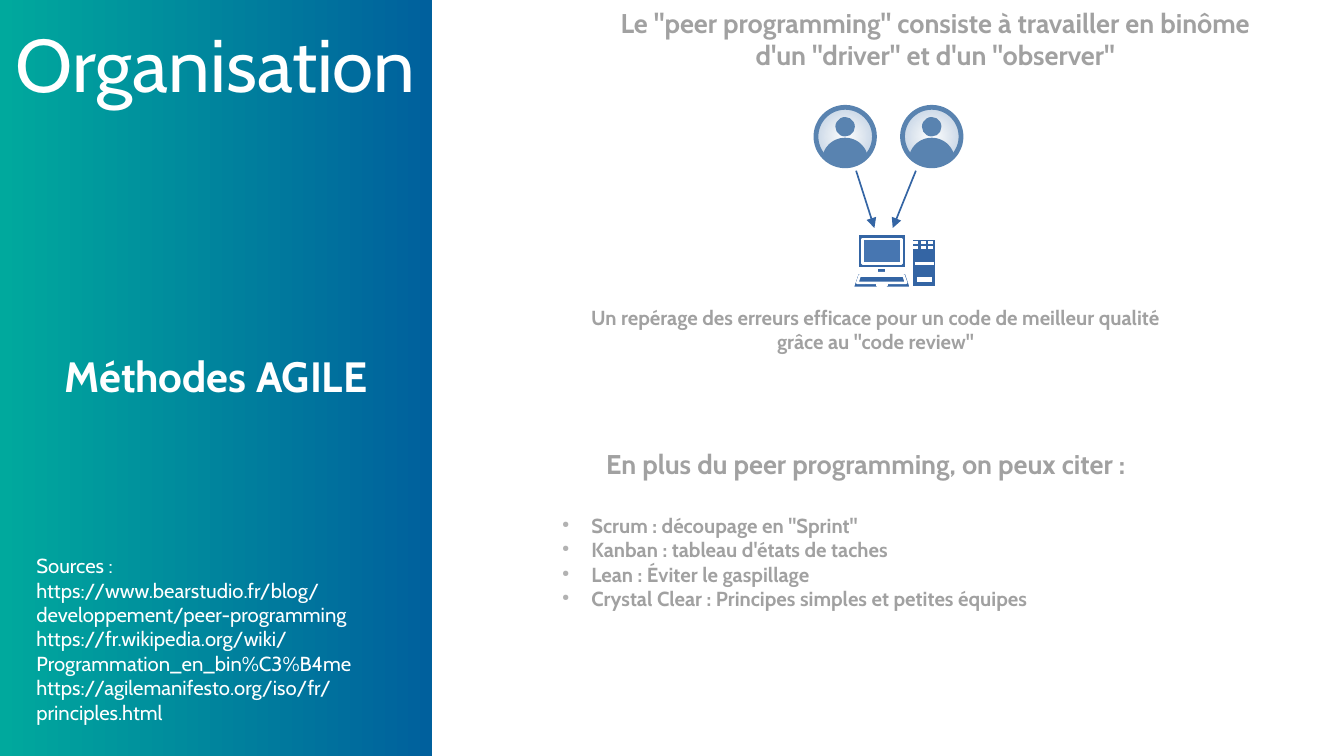
"""Builds the slide on agile methods and peer programming."""
from itertools import product
from math import cos, radians, sin

from lxml import etree
from pptx import Presentation
from pptx import util as u
from pptx.dml import color
from pptx.enum import shapes, text
from pptx.oxml import ns

FONT = "Cabin"
WHITE, GREY, BULLET = "FFFFFF", "A1A1A1", "B2B2B2"
TEAL, NAVY = "00A99D", "00609D"
BLUE, SCREEN, AVATAR, HALO = "3465A4", "4776B1", "5983B0", "B4C7DC"
OVAL, RECT = shapes.MSO_SHAPE.OVAL, shapes.MSO_SHAPE.RECTANGLE
CENTER, LEFT = text.PP_ALIGN.CENTER, text.PP_ALIGN.LEFT


def rgb(value):
    """Turn a hex string into a colour."""
    return color.RGBColor.from_string(value)


def add_xml(parent, tag, **attributes):
    """Append a drawing element to a parent."""
    return etree.SubElement(parent, ns.qn(tag), attributes)


def paint(shape, fill=None, line=None, width=1.5):
    """Set fill and outline, with no shadow."""
    shape.shadow.inherit = False
    if fill:
        shape.fill.solid()
        shape.fill.fore_color.rgb = rgb(fill)
    else:
        shape.fill.background()
    if line:
        shape.line.color.rgb = rgb(line)
        shape.line.width = u.Pt(width)
    else:
        shape.line.fill.background()
    return shape


def add_preset(page, kind, left, top, width, height, fill=None, line=None, weight=1.5):
    """Draw a preset shape."""
    shape = page.shapes.add_shape(kind, *map(u.Inches, (left, top, width, height)))
    return paint(shape, fill, line, weight)


def add_gradient(shape, first, last, radial=False):
    """Fill a shape with two colours, left to right or from the centre."""
    shape.fill.gradient()
    shape.fill.gradient_angle = 0
    for stop, value in zip(shape.fill.gradient_stops, (first, last)):
        stop.color.rgb = rgb(value)
    if radial:
        linear = shape.fill._xPr.find(".//" + ns.qn("a:lin"))
        parent = linear.getparent()
        parent.remove(linear)
        circle = add_xml(parent, "a:path", path="circle")
        add_xml(circle, "a:fillToRect", l="50000", t="50000", r="50000", b="50000")


def add_polygon(page, points, fill, line=None):
    """Draw a closed outline through points."""
    corners = [(u.Inches(x), u.Inches(y)) for x, y in points]
    builder = page.shapes.build_freeform(*corners[0])
    builder.add_line_segments(corners[1:], close=True)
    return paint(builder.convert_to_shape(), fill, line)


def add_line(page, start, end, value, width, arrow=False):
    """Draw a straight line, with an arrowhead if asked."""
    line = page.shapes.add_connector(shapes.MSO_CONNECTOR.STRAIGHT, *map(u.Inches, start + end))
    line.line.color.rgb = rgb(value)
    line.line.width = u.Pt(width)
    if arrow:
        add_xml(line.line._get_or_add_ln(), "a:tailEnd", type="triangle")
    add_xml(line._element.spPr, "a:effectLst")


def add_text(page, left, top, width, height, lines, size, value, bold=False, align=CENTER):
    """Write lines of text in one box."""
    box = page.shapes.add_textbox(*map(u.Inches, (left, top, width, height)))
    frame = box.text_frame
    frame.word_wrap = True
    frame.text = "\n".join(lines)
    for para in frame.paragraphs:
        para.alignment = align
        for span in para.runs:
            span.font.name, span.font.size, span.font.bold = FONT, u.Pt(size), bold
            span.font.color.rgb = rgb(value)
    return frame


def add_bullet(para):
    """Give a paragraph a small grey dot and a hanging indent."""
    properties = para._p.get_or_add_pPr()
    properties.set("marL", str(u.Inches(0.24)))
    properties.set("indent", str(u.Inches(-0.24)))
    add_xml(add_xml(properties, "a:buClr"), "a:srgbClr", val=BULLET)
    add_xml(properties, "a:buSzPct", val="45000")
    add_xml(properties, "a:buChar", char="●")


def add_avatar(page, left, top, size):
    """Draw a round portrait icon."""
    halo = add_preset(page, OVAL, left, top, size, size)
    add_gradient(halo, WHITE, HALO, radial=True)
    head = size / 3
    add_preset(page, OVAL, left + head, top + size / 6, head, head, AVATAR)

    def arc(center, radius, start, end):
        return [(left + size / 2 + radius * cos(radians(angle)),
                 top + center + radius * sin(radians(angle)))
                for angle in range(start, end + 1, 5)]

    shoulders = arc(0.44, 0.19, 205, 335)
    add_polygon(page, shoulders + arc(size / 2, size / 2, 40, 140), AVATAR)
    add_preset(page, OVAL, left, top, size, size, line=AVATAR, weight=2.83)


def add_computer(page, left, top):
    """Draw a tower, a screen and a keyboard."""
    add_preset(page, RECT, left + 0.49, top + 0.04, 0.2, 0.4, BLUE, WHITE)
    for inset, drop in ((0.02, 0.24), (0.04, 0.38), (0.04, 0.36)):
        add_line(page, (left + 0.49 + inset, top + drop),
                 (left + 0.69 - inset, top + drop), WHITE, 1.5)
    for column, offset, drop in product(range(3), (0, 0.02), (0.06, 0.1)):
        x = left + 0.51 + column * 0.06 + offset
        add_line(page, (x, top + drop + 0.02), (x, top + drop), WHITE, 1.5)
    add_preset(page, RECT, left + 0.04, top, 0.4, 0.28, BLUE, WHITE)
    add_preset(page, RECT, left + 0.08, top + 0.04, 0.32, 0.2, SCREEN, WHITE)
    add_preset(page, RECT, left + 0.2, top + 0.28, 0.08, 0.04, BLUE, WHITE)
    middle = left + 0.24
    for lower, upper, start, end in ((0.24, 0.2, 0.32, 0.44), (0.04, 0.04, 0.4, 0.42),
                                     (0.2, 0.18, 0.34, 0.4)):
        add_polygon(page, [(middle - lower, top + end), (middle + lower, top + end),
                           (middle + upper, top + start), (middle - upper, top + start)],
                    BLUE, WHITE)


def add_sidebar(page, left, top, width, height):
    """Fill the coloured column with title, topic and sources."""
    panel = add_preset(page, RECT, left, top, width, height)
    add_gradient(panel, TEAL, NAVY)
    title = add_text(page, left, top, width, 1.03, ["Organisation"], 44, WHITE)
    title.vertical_anchor = text.MSO_ANCHOR.MIDDLE
    title.margin_left = title.margin_right = title.margin_top = title.margin_bottom = 0
    add_text(page, left, top + 2.82, width, 0.57, ["Méthodes AGILE"], 25, WHITE, True)
    add_text(page, left + 0.2, top + 4.49, width - 0.2, 1.69, [
        "Sources :",
        "https://www.bearstudio.fr/blog/developpement/peer-programming",
        "https://fr.wikipedia.org/wiki/Programmation_en_bin%C3%B4me",
        "https://agilemanifesto.org/iso/fr/principles.html",
    ], 12, WHITE, align=LEFT)


def add_peer_programming(page, left, top, width):
    """Explain peer programming with two people at one computer."""
    add_text(page, left, top, width, 0.7, [
        "Le \"peer programming\" consiste à travailler en binôme",
        "d'un \"driver\" et d'un \"observer\"",
    ], 16, GREY, True)
    for offset in (2.19, 2.9):
        add_avatar(page, left + offset, top + 0.88, 0.48)
    add_computer(page, left + 2.49, top + 1.92)
    for start, end in ((2.52, 2.67), (3.01, 2.82)):
        add_line(page, (left + start, top + 1.4), (left + end, top + 1.87), BLUE, 1, arrow=True)
    add_text(page, left - 0.15, top + 2.45, 5.66, 0.7, [
        "Un repérage des erreurs efficace pour un code de meilleur qualité",
        "grâce au \"code review\"",
    ], 12, GREY, True)


def add_other_methods(page, left, top, width, height):
    """List the other agile methods under a heading."""
    frame = add_text(page, left, top, width, height, [
        "En plus du peer programming, on peux citer :",
        "Scrum : découpage en \"Sprint\"",
        "Kanban : tableau d'états de taches",
        "Lean : Éviter le gaspillage",
        "Crystal Clear : Principes simples et petites équipes",
    ], 12, GREY, True, LEFT)
    heading, *methods = frame.paragraphs
    heading.alignment = CENTER
    heading.runs[0].font.size = u.Pt(16)
    methods[0].space_before = u.Pt(19.5)
    for para in methods:
        add_bullet(para)


def main():
    """Build and save the deck."""
    deck = Presentation()
    deck.slide_width, deck.slide_height = u.Inches(11.02), u.Inches(6.2)
    page = deck.slides.add_slide(deck.slide_layouts[6])
    add_sidebar(page, 0, 0, 3.54, 6.2)
    add_peer_programming(page, 4.5, 0, 6.34)
    add_other_methods(page, 4.51, 3.62, 5.18, 2.51)
    deck.save("out.pptx")


if __name__ == "__main__":
    main()
